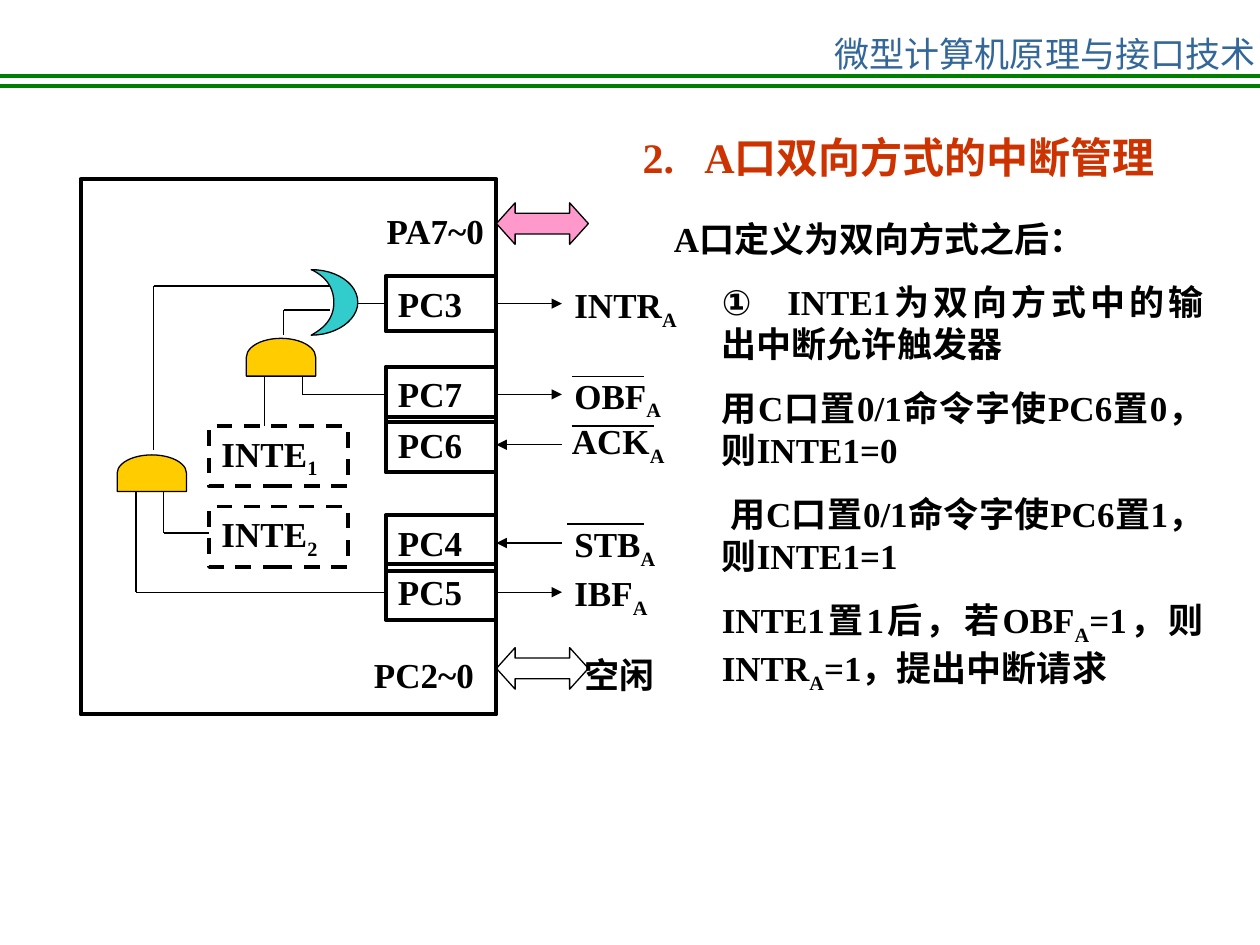
"""Builds the slide on interrupt management of port A in bidirectional mode."""
from lxml import etree
from pptx import Presentation
from pptx.dml.color import RGBColor
from pptx.enum.dml import MSO_LINE
from pptx.enum.shapes import MSO_CONNECTOR, MSO_SHAPE
from pptx.enum.text import MSO_ANCHOR, MSO_AUTO_SIZE, PP_ALIGN
from pptx.oxml.ns import qn
from pptx.util import Inches, Pt

RECT, DELAY = MSO_SHAPE.RECTANGLE, MSO_SHAPE.FLOWCHART_DELAY
DOUBLE_ARROW = MSO_SHAPE.LEFT_RIGHT_ARROW
STRAIGHT = MSO_CONNECTOR.STRAIGHT
DASH = MSO_LINE.DASH
LEFT, CENTER, RIGHT = PP_ALIGN.LEFT, PP_ALIGN.CENTER, PP_ALIGN.RIGHT
JUSTIFY = PP_ALIGN.JUSTIFY
TOP = MSO_ANCHOR.TOP
FIT, FIXED = MSO_AUTO_SIZE.SHAPE_TO_FIT_TEXT, MSO_AUTO_SIZE.NONE
SIDE_LEFT, SIDE_RIGHT = 1, 3
LATIN, CJK = "Times New Roman", "Noto Sans CJK SC"
BLACK, GREEN, BLUE, RED = "000000", "008000", "336699", "CC3300"
AMBER, TEAL, PINK = "FFCC00", "33CCCC", "FF99CC"

HEADER = "微型计算机原理与接口技术"
HEADER_RULES = [(0.59, 0.68), (0.57, 0.6)]
TITLE = "2.\tA口双向方式的中断管理"
INTRO = "A口定义为双向方式之后："
NOTES = [
    [("①", "Arial"), "\tINTE1为双向方式中的输出中断允许触发器"],
    ["用C口置0/1命令字使PC6置0，则INTE1=0"],
    [" 用C口置0/1命令字使PC6置1，则INTE1=1"],
    ["INTE1置1后，若OBF", ("A",), "=1，则INTR", ("A",), "=1，提出中断请求"],
]
CHIP = (0.64, 1.42, 3.3, 4.25)
CHIP_RIGHT, PIN_LEFT, PIN_SIZE, SIGNAL_LEFT = 3.94, 3.06, (0.88, 0.44), 4.46
PINS = [
    ("PC3", 2.19, "INTR", 4.46, 2.2, "tailEnd", None),
    ("PC7", 2.91, "OBF", 4.46, 2.92, "tailEnd", (4.54, 5.11, 2.99)),
    ("PC6", 3.31, "ACK", 4.44, 3.28, "headEnd", (4.54, 5.19, 3.38)),
    ("PC4", 4.09, "STB", 4.46, 4.1, "headEnd", (4.5, 5.11, 4.16)),
    ("PC5", 4.48, "IBF", 4.46, 4.49, "tailEnd", None),
]
FLAGS = [("1", 3.38), ("2", 4.02)]
GATES = [(2.08, 2.56, 0.3, 0.55), (1.06, 3.48, 0.29, 0.55)]
PORTS = [("PA7~0", (2.47, 1.61, 1.47, 0.44), PINK),
         ("PC2~0", (2.25, 5.14, 1.61, 0.44), None)]
IDLE = ("空闲", (4.54, 5.14, 0.77, 0.44))
PIN_WIRES = [("PC3", 2.84), ("PC7", 2.4), ("PC5", 1.08)]
WIRES = [
    [(2.4, 2.99), (2.4, 3.13)],
    [(2.1, 2.99), (2.1, 3.38)],
    [(1.08, 4.7), (1.08, 3.9)],
    [(1.3, 3.9), (1.3, 4.23), (1.66, 4.23)],
    [(2.62, 2.46), (2.25, 2.46), (2.25, 2.66)],
    [(1.22, 3.57), (1.22, 2.27), (2.62, 2.27)],
]
CRESCENT = [
    [(2.47, 2.14), (2.56, 2.18), (2.65, 2.26), (2.65, 2.4)],
    [(2.65, 2.4), (2.65, 2.54), (2.56, 2.61), (2.47, 2.66)],
    [(2.47, 2.66), (2.67, 2.66), (2.84, 2.54), (2.84, 2.4)],
    [(2.84, 2.4), (2.84, 2.25), (2.67, 2.14), (2.47, 2.14)],
]


def rgb(code):
    return RGBColor.from_string(code)


def write(box, paragraphs, size=20, color=BLACK, align=LEFT, bold=True,
          face=LATIN, gap=12.5, tab=None, wrap=True, fit=FIT):
    """Writes runs: text, (subscript,) or (text, typeface)."""
    frame = box.text_frame
    frame.word_wrap, frame.auto_size, frame.vertical_anchor = wrap, fit, TOP
    for index, runs in enumerate(paragraphs):
        para = frame.add_paragraph() if index else frame.paragraphs[0]
        para.alignment = align
        if index:
            para.space_before = Pt(gap)
        if tab:
            stops = etree.SubElement(para._p.get_or_add_pPr(), qn("a:tabLst"))
            etree.SubElement(stops, qn("a:tab"), pos=str(Inches(tab)), algn="l")
        for run in runs:
            parts = (run,) if isinstance(run, str) else run
            span = para.add_run()
            span.text = parts[0]
            span.font.size, span.font.bold = Pt(size), bold
            span.font.color.rgb = rgb(color)
            span.font.name = parts[1] if len(parts) == 2 else face
            properties = span._r.get_or_add_rPr()
            etree.SubElement(properties, qn("a:ea"), typeface=CJK)
            if not isinstance(run, str) and len(parts) == 1:
                properties.set("baseline", "-25000")


def text_box(slide, place, paragraphs, **style):
    write(slide.shapes.add_textbox(*map(Inches, place)), paragraphs, **style)


def paint(shape, fill, width, dash=None):
    shape.shadow.inherit = False
    if fill:
        shape.fill.solid()
        shape.fill.fore_color.rgb = rgb(fill)
    else:
        shape.fill.background()
    shape.line.color.rgb, shape.line.width = rgb(BLACK), Pt(width)
    if dash:
        shape.line.dash_style = dash
    return shape


def add_shape(slide, kind, place, fill=None, width=0.75, dash=None):
    return paint(slide.shapes.add_shape(kind, *map(Inches, place)),
                 fill, width, dash)


def add_line(slide, start, end, color=BLACK, width=0.75, arrow=None):
    line = slide.shapes.add_connector(STRAIGHT, *map(Inches, start + end))
    line.line.color.rgb, line.line.width = rgb(color), Pt(width)
    if arrow:
        etree.SubElement(line.line._get_or_add_ln(), qn("a:" + arrow),
                         type="triangle")
    etree.SubElement(line._element.spPr, qn("a:effectLst"))
    return line


def add_crescent(slide, steps=12):
    points = []
    for a, b, c, d in CRESCENT:
        for step in range(steps):
            t = step / steps
            weights = ((1 - t) ** 3, 3 * t * (1 - t) ** 2,
                       3 * t * t * (1 - t), t ** 3)
            points.append(tuple(Inches(sum(w * v for w, v in zip(weights, axis)))
                                for axis in zip(a, b, c, d)))
    outline = slide.shapes.build_freeform(*points[0])
    outline.add_line_segments(points[1:], close=True)
    paint(outline.convert_to_shape(), TEAL, 0.75)


def add_header(slide):
    for left, y in HEADER_RULES:
        add_line(slide, (left, y), (10, y), GREEN)
        add_line(slide, (0, y), (10, y), GREEN, 2.25)
    text_box(slide, (6.89, 0.21, 2.81, 0.24), [[HEADER]], color=BLUE,
             align=CENTER, bold=False, face=CJK, wrap=False, fit=FIXED)


def add_pins(slide):
    pins = {}
    for name, top, signal, left, label_top, arrow, bar in PINS:
        pin = add_shape(slide, RECT, (PIN_LEFT, top) + PIN_SIZE, width=2.25)
        write(pin, [[name]])
        pins[name] = pin
        y = top + PIN_SIZE[1] / 2
        line = add_line(slide, (CHIP_RIGHT, y), (SIGNAL_LEFT, y), arrow=arrow)
        line.begin_connect(pin, SIDE_RIGHT)
        text_box(slide, (left, label_top, 1.09, 0.48), [[signal, ("A",)]])
        if bar:
            add_line(slide, (bar[0], bar[2]), (bar[1], bar[2]))
    for name, start in PIN_WIRES:
        y = pins[name].top.inches + PIN_SIZE[1] / 2
        add_line(slide, (start, y), (PIN_LEFT, y)).end_connect(pins[name], SIDE_LEFT)


def add_chip(slide):
    add_shape(slide, RECT, CHIP, width=2.25)
    add_pins(slide)
    for number, top in FLAGS:
        flag = add_shape(slide, RECT, (1.66, top, 1.1, 0.48), width=2.25, dash=DASH)
        write(flag, [["INTE", (number,)]])
    for place in GATES:
        add_shape(slide, DELAY, place, AMBER).rotation = 270
    for route in WIRES:
        for start, end in zip(route, route[1:]):
            add_line(slide, start, end)
    add_crescent(slide)
    for name, place, fill in PORTS:
        text_box(slide, place, [[name]], align=RIGHT)
        arrow = add_shape(slide, DOUBLE_ARROW, (CHIP_RIGHT, place[1], 0.73, 0.33), fill)
        arrow.adjustments[0], arrow.adjustments[1] = 0.5, 0.45
    text_box(slide, IDLE[1], [[IDLE[0]]])


def main():
    deck = Presentation()
    deck.slide_width, deck.slide_height = Inches(10), Inches(7.5)
    slide = deck.slides.add_slide(deck.slide_layouts[5])
    title = slide.shapes.title
    title.left, title.top, title.width, title.height = map(Inches, (5, 0.99, 5, 0.5))
    write(title, [[TITLE]], size=24, color=RED, tab=0.49)
    add_header(slide)
    add_chip(slide)
    text_box(slide, (5.25, 1.68, 3.92, 0.44), [[INTRO]], align=JUSTIFY)
    text_box(slide, (5.63, 2.18, 4.02, 3.38), NOTES, align=JUSTIFY, tab=0.52)
    deck.save("out.pptx")


if __name__ == "__main__":
    main()
